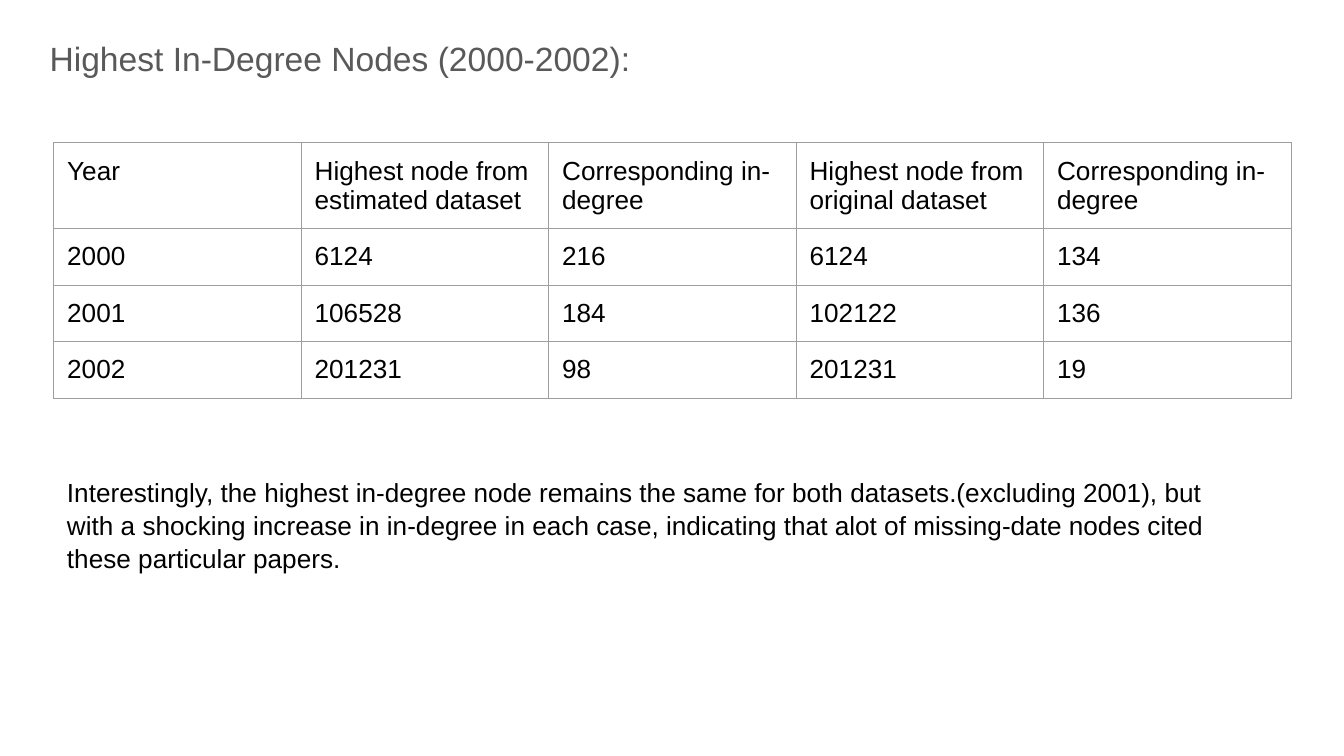
from pptx import Presentation
from pptx.dml.color import RGBColor
from pptx.enum.text import MSO_ANCHOR, PP_ALIGN, MSO_AUTO_SIZE
from pptx.oxml import parse_xml
from pptx.oxml.ns import nsdecls
from pptx.util import Pt

# Content
TITLE = "Highest In-Degree Nodes (2000-2002):"
ROWS = [
    ("Year", "Highest node from estimated dataset", "Corresponding in-degree",
     "Highest node from original dataset", "Corresponding in-degree"),
    ("2000", "6124", "216", "6124", "134"),
    ("2001", "106528", "184", "102122", "136"),
    ("2002", "201231", "98", "201231", "19"),
]
NOTE = ("Interestingly, the highest in-degree node remains the same for both "
        "datasets.(excluding 2001), but with a shocking increase in in-degree "
        "in each case, indicating that alot of missing-date nodes cited these "
        "particular papers.")

# Style and layout, in points
FONT, BLACK, GREY, BORDER = "Arial", "000000", "595959", "9E9E9E"
LEFT, INSET = 28.8, 7.2
COL_W, HEAD_H, ROW_H = 132.6, 46, 30.3


def color(hex_string):
    return RGBColor.from_string(hex_string)


def write(tf, text, size, hex_string, spacing=1.0):
    p = tf.paragraphs[0]
    p.alignment = PP_ALIGN.LEFT
    p.line_spacing = spacing
    r = p.add_run()
    r.text = text
    r.font.name, r.font.size = FONT, Pt(size)
    r.font.bold = False
    r.font.color.rgb = color(hex_string)


def set_insets(target):
    target.margin_left = target.margin_right = Pt(INSET)
    target.margin_top = target.margin_bottom = Pt(INSET)
    target.vertical_anchor = MSO_ANCHOR.TOP


def set_borders(cell):
    tc_pr = cell._tc.get_or_add_tcPr()
    for i, side in enumerate(("lnL", "lnR", "lnT", "lnB")):
        tc_pr.insert(i, parse_xml(
            f'<a:{side} {nsdecls("a")} w="{Pt(0.75)}"><a:solidFill>'
            f'<a:srgbClr val="{BORDER}"/></a:solidFill></a:{side}>'))


prs = Presentation()
prs.slide_width, prs.slide_height = Pt(720), Pt(405)
s = prs.slides.add_slide(prs.slide_layouts[5])

# Title
title = s.shapes.title
title.left, title.top, title.width, title.height = Pt(19.4), Pt(10), Pt(423.4), Pt(50)
tf = title.text_frame
tf.word_wrap, tf.auto_size = True, MSO_AUTO_SIZE.NONE
set_insets(tf)
write(tf, TITLE, 18, GREY, 1.15)

# Table
n_rows, n_cols = len(ROWS), len(ROWS[0])
table = s.shapes.add_table(n_rows, n_cols, Pt(LEFT), Pt(76.5), Pt(COL_W * n_cols),
                           Pt(HEAD_H + ROW_H * (n_rows - 1))).table
table.first_row = table.horz_banding = False
for col in table.columns:
    col.width = Pt(COL_W)
for i, values in enumerate(ROWS):
    table.rows[i].height = Pt(ROW_H if i else HEAD_H)
    for j, value in enumerate(values):
        cell = table.cell(i, j)
        set_insets(cell)
        cell.fill.background()
        set_borders(cell)
        write(cell.text_frame, value, 14, BLACK)

# Note below the table
note = s.shapes.add_textbox(Pt(LEFT), Pt(247), Pt(635), Pt(65.5))
tf = note.text_frame
tf.word_wrap = True
set_insets(tf)
write(tf, NOTE, 14, BLACK, 1.06)

prs.save("out.pptx")
